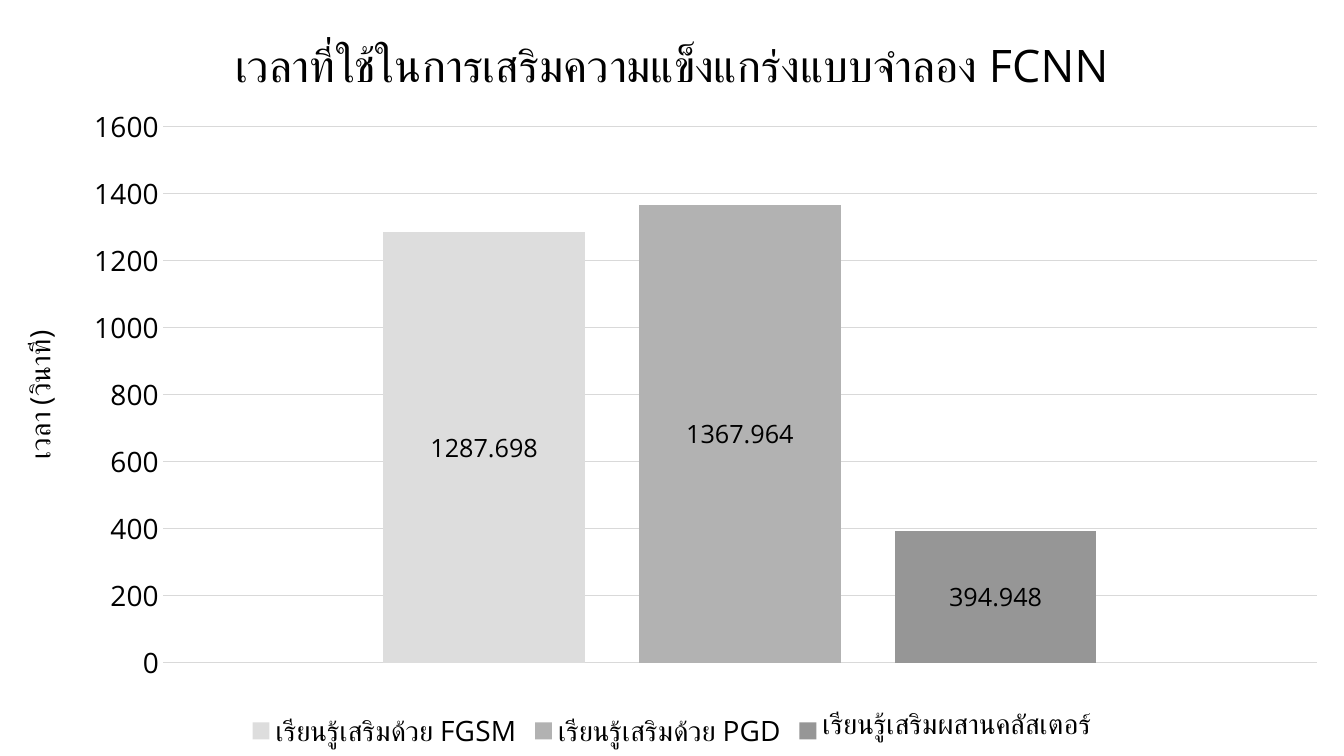
from dataclasses import dataclass

from lxml.etree import SubElement
from pptx import Presentation
from pptx.chart.chart import Chart
from pptx.chart.data import CategoryChartData
from pptx.dml.color import RGBColor
from pptx.enum.chart import XL_CHART_TYPE, XL_LABEL_POSITION, XL_LEGEND_POSITION, XL_TICK_MARK
from pptx.oxml.ns import qn
from pptx.util import Pt

EMU_PER_PX = 914400 / 100.8
SLIDE_W, SLIDE_H = 1344, 756
FONT = "Open Sans"
COLORS = {
    "text": "000000",
    "grid": "D9D9D9",
    "fgsm": "DDDDDD",
    "pgd": "B2B2B2",
    "cluster": "969696",
}


@dataclass(frozen=True)
class Method:
    name: str
    seconds: float
    color: str


@dataclass(frozen=True)
class Box:
    x: int
    y: int
    w: int
    h: int


METHODS = [
    Method("เรียนรู้เสริมด้วย FGSM", 1287.698, "fgsm"),
    Method("เรียนรู้เสริมด้วย PGD", 1367.964, "pgd"),
    Method("เรียนรู้เสริมผสานคลัสเตอร์", 394.948, "cluster"),
]
PLOT = Box(163, 127, 1154, 536)


def px(n: int) -> int:
    """Convert pixels to EMU."""
    return round(n * EMU_PER_PX)


def rgb(key: str) -> RGBColor:
    """Look up a named colour."""
    return RGBColor.from_string(COLORS[key])


def style_font(font, size: int) -> None:
    """Apply the shared typeface and colour at a given size."""
    font.name, font.size, font.bold = FONT, Pt(size), False
    font.color.rgb = rgb("text")


def set_title(owner, title, text: str, size: int) -> None:
    """Turn on a chart or axis title and fill it."""
    owner.has_title = True
    tf = title().text_frame
    tf.text = text
    style_font(tf.paragraphs[0].font, size)


def place_plot(chart: Chart, box: Box) -> None:
    """Fix the inner plot area at a pixel box."""
    area = chart._chartSpace.chart.plotArea
    layout = area.find(qn("c:layout"))
    if layout is None:
        layout = SubElement(area, qn("c:layout"))
        area.insert(0, layout)
    manual = SubElement(layout, qn("c:manualLayout"))
    settings = {
        "layoutTarget": "inner", "xMode": "edge", "yMode": "edge",
        "x": box.x / SLIDE_W, "y": box.y / SLIDE_H,
        "w": box.w / SLIDE_W, "h": box.h / SLIDE_H,
    }
    for tag, value in settings.items():
        SubElement(manual, qn(f"c:{tag}")).set("val", str(value))


def style_axes(chart: Chart) -> None:
    """Hide the category axis and format the time axis."""
    chart.category_axis.visible = False
    axis = chart.value_axis
    axis.minimum_scale, axis.maximum_scale, axis.major_unit = 0, 1600, 200
    axis.major_tick_mark = axis.minor_tick_mark = XL_TICK_MARK.NONE
    axis.format.line.fill.background()
    grid = axis.major_gridlines.format.line
    grid.color.rgb, grid.width = rgb("grid"), Pt(0.75)
    style_font(axis.tick_labels.font, 20)
    set_title(axis, lambda: axis.axis_title, "เวลา (วินาที)", 20)


def style_bars(chart: Chart) -> None:
    """Space, colour and label the bars."""
    plot = chart.plots[0]
    plot.gap_width, plot.overlap, plot.vary_by_categories = 219, -27, False
    for series, method in zip(plot.series, METHODS):
        series.format.fill.solid()
        series.format.fill.fore_color.rgb = rgb(method.color)
        labels = series.data_labels
        labels.show_value = True
        labels.position = XL_LABEL_POSITION.CENTER
        style_font(labels.font, 18)


def add_time_chart(s) -> None:
    """Add the full-slide training time chart."""
    data = CategoryChartData()
    data.categories = ["1"]
    for method in METHODS:
        data.add_series(method.name, [method.seconds])
    chart = s.shapes.add_chart(
        XL_CHART_TYPE.COLUMN_CLUSTERED, 0, 0, px(SLIDE_W), px(SLIDE_H), data
    ).chart
    style_font(chart.font, 20)
    set_title(chart, lambda: chart.chart_title,
              "เวลาที่ใช้ในการเสริมความแข็งแกร่งแบบจำลอง FCNN", 32)
    chart.has_legend = True
    chart.legend.position = XL_LEGEND_POSITION.BOTTOM
    chart.legend.include_in_layout = False
    style_font(chart.legend.font, 20)
    style_axes(chart)
    style_bars(chart)
    place_plot(chart, PLOT)


prs = Presentation()
prs.slide_width, prs.slide_height = px(SLIDE_W), px(SLIDE_H)
add_time_chart(prs.slides.add_slide(prs.slide_layouts[6]))
prs.save("out.pptx")
